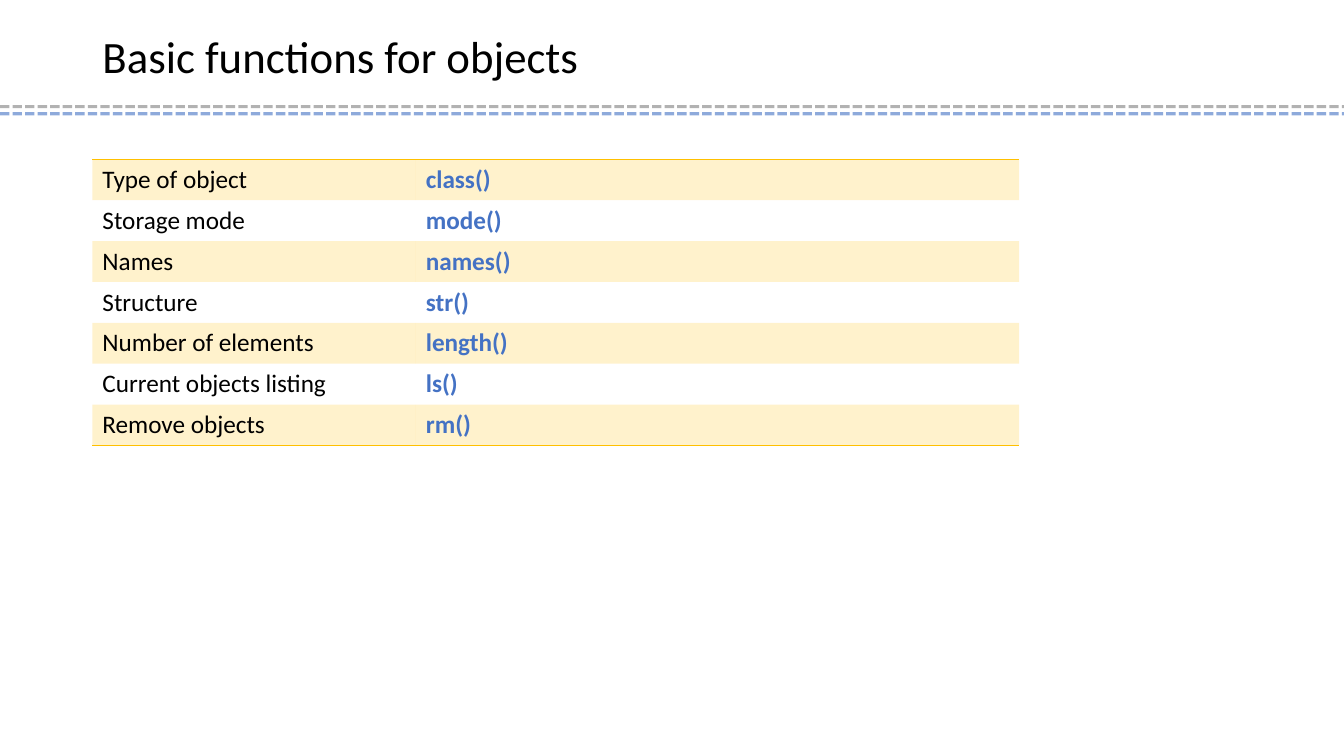
"""Build the slide on basic functions for objects."""
from dataclasses import dataclass

from lxml import etree
from pptx import Presentation
from pptx.dml.color import RGBColor
from pptx.enum.dml import MSO_LINE
from pptx.enum.shapes import MSO_CONNECTOR
from pptx.enum.text import MSO_ANCHOR, MSO_AUTO_SIZE, PP_ALIGN
from pptx.oxml.ns import qn
from pptx.util import Pt

STRAIGHT = MSO_CONNECTOR.STRAIGHT
SHORT_DASH = MSO_LINE.SQUARE_DOT
LEFT = PP_ALIGN.LEFT
MIDDLE = MSO_ANCHOR.MIDDLE
NO_AUTOFIT = MSO_AUTO_SIZE.NONE

COLORS = {
    "background": "FFFFFF",
    "text": "000000",
    "function": "4472C4",
    "grey_rule": "808080",
    "band": "FFC000",
}
FONT = "Calibri"
SLIDE_WIDTH, SLIDE_HEIGHT = 960, 540
MARGIN = 66
TABLE_TOP = 113.8
COLUMN_WIDTHS = (231, 431)
ROW_HEIGHT = 29.2
PLAIN_TABLE_STYLE = "{2D5ABB26-0587-4C30-8999-92F81FD0307C}"


@dataclass(frozen=True)
class Rule:
    top: float
    color: str


@dataclass(frozen=True)
class ObjectFunction:
    purpose: str
    call: str


RULES = (Rule(76.2, "grey_rule"), Rule(81.3, "function"))
FUNCTIONS = (
    ObjectFunction("Type of object", "class()"),
    ObjectFunction("Storage mode", "mode()"),
    ObjectFunction("Names", "names()"),
    ObjectFunction("Structure", "str()"),
    ObjectFunction("Number of elements", "length()"),
    ObjectFunction("Current objects listing", "ls()"),
    ObjectFunction("Remove objects", "rm()"),
)


def rgb(name: str) -> RGBColor:
    return RGBColor.from_string(COLORS[name])


def set_opacity(element, percent: int) -> None:
    for color in element.iter(qn("a:srgbClr")):
        etree.SubElement(color, qn("a:alpha"), val=str(percent * 1000))


def add_text(paragraph, text: str, size: float, color: str, bold: bool = False) -> None:
    run = paragraph.add_run()
    run.text = text
    run.font.name = FONT
    run.font.size = Pt(size)
    run.font.bold = bold
    run.font.color.rgb = rgb(color)


def add_title(slide, text: str) -> None:
    title = slide.shapes.title
    title.left, title.top = Pt(MARGIN), Pt(13)
    title.width, title.height = Pt(828), Pt(58)
    frame = title.text_frame
    frame.auto_size = NO_AUTOFIT
    frame.vertical_anchor = MIDDLE
    paragraph = frame.paragraphs[0]
    paragraph.alignment = LEFT
    paragraph.line_spacing = 0.9
    add_text(paragraph, text, 32, "text")


def add_rule(slide, rule: Rule) -> None:
    connector = slide.shapes.add_connector(
        STRAIGHT, 0, Pt(rule.top), Pt(SLIDE_WIDTH), Pt(rule.top)
    )
    connector.line.color.rgb = rgb(rule.color)
    connector.line.width = Pt(2.25)
    connector.line.dash_style = SHORT_DASH
    properties = connector.element.spPr
    set_opacity(properties, 60)
    etree.SubElement(properties, qn("a:effectLst"))


def add_border(cell_properties, side: str) -> None:
    border = etree.Element(qn(f"a:{side}"), w=str(Pt(1)))
    fill = etree.SubElement(border, qn("a:solidFill"))
    etree.SubElement(fill, qn("a:srgbClr"), val=COLORS["band"])
    cell_properties.insert(0, border)


def fill_row(cells, entry: ObjectFunction, index: int) -> None:
    for cell, text, color, bold in zip(
        cells, (entry.purpose, entry.call), ("text", "function"), (False, True)
    ):
        add_text(cell.text_frame.paragraphs[0], text, 18, color, bold)
        if index % 2 == 0:
            cell.fill.solid()
            cell.fill.fore_color.rgb = rgb("band")
        else:
            cell.fill.background()
        properties = cell._tc.get_or_add_tcPr()
        set_opacity(properties, 20)
        if index == 0:
            add_border(properties, "lnT")
        if index == len(FUNCTIONS) - 1:
            add_border(properties, "lnB")


def add_function_table(slide) -> None:
    frame = slide.shapes.add_table(
        len(FUNCTIONS), len(COLUMN_WIDTHS), Pt(MARGIN), Pt(TABLE_TOP),
        Pt(sum(COLUMN_WIDTHS)), Pt(ROW_HEIGHT * len(FUNCTIONS)),
    )
    table = frame.table
    table.first_row = False
    table.horz_banding = False
    next(frame.element.iter(qn("a:tableStyleId"))).text = PLAIN_TABLE_STYLE
    for column, width in zip(table.columns, COLUMN_WIDTHS):
        column.width = Pt(width)
    for index, (row, entry) in enumerate(zip(table.rows, FUNCTIONS)):
        row.height = Pt(ROW_HEIGHT)
        fill_row(row.cells, entry, index)


def main() -> None:
    presentation = Presentation()
    presentation.slide_width = Pt(SLIDE_WIDTH)
    presentation.slide_height = Pt(SLIDE_HEIGHT)
    slide = presentation.slides.add_slide(presentation.slide_layouts[5])
    slide.background.fill.solid()
    slide.background.fill.fore_color.rgb = rgb("background")
    for rule in RULES:
        add_rule(slide, rule)
    add_title(slide, "Basic functions for objects")
    add_function_table(slide)
    presentation.save("out.pptx")


if __name__ == "__main__":
    main()
